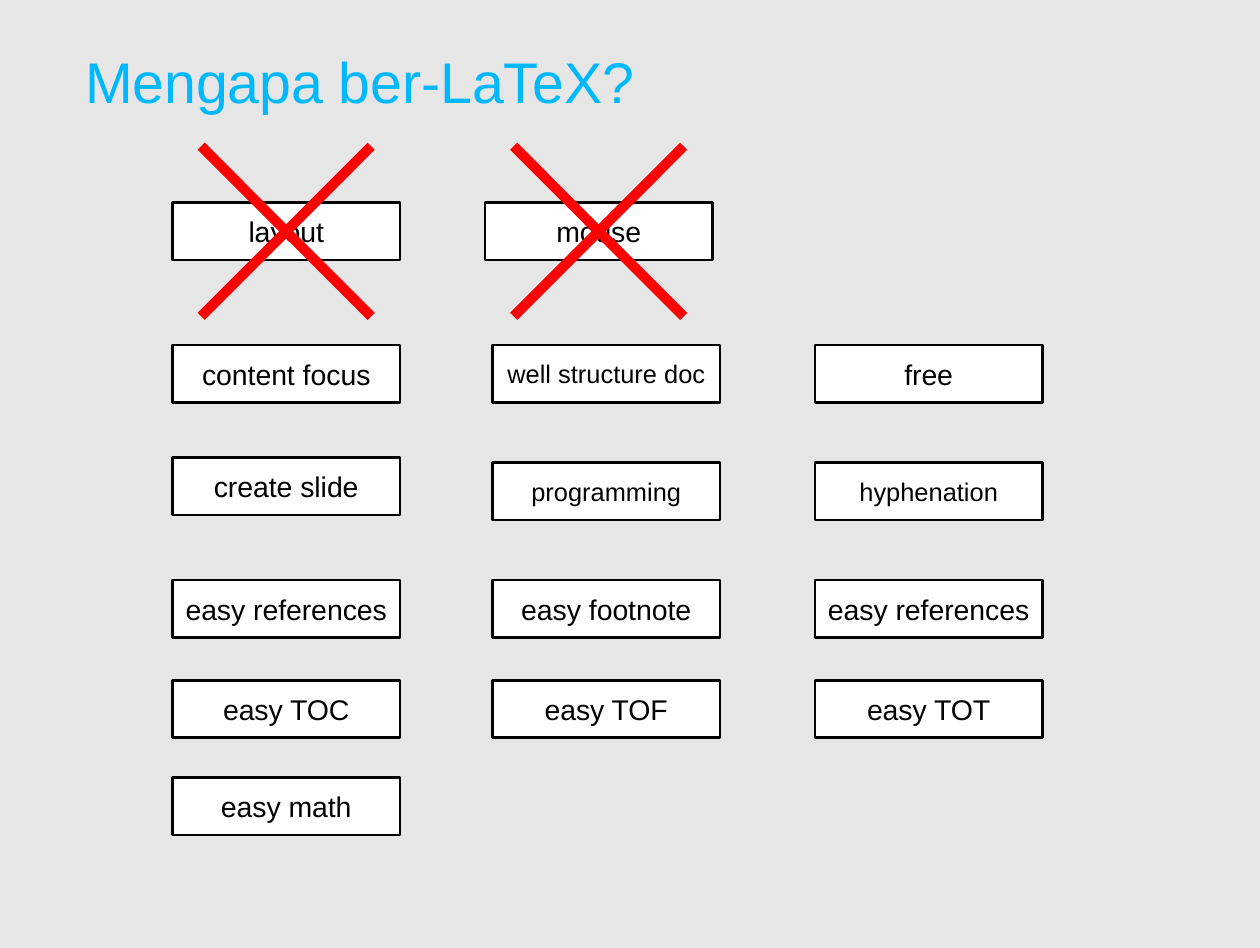
from pptx import Presentation
from pptx.dml.color import RGBColor as Color
from pptx.enum.shapes import MSO_CONNECTOR as Connector, MSO_SHAPE as Shape
from pptx.enum.text import MSO_ANCHOR as Anchor, PP_ALIGN as Align
from pptx.oxml.ns import qn
from pptx.util import Inches, Pt
from lxml.etree import SubElement

THEME = {
    "font": "Arial",
    "background": Color.from_string("E6E6E6"),
    "title": Color.from_string("00B8FF"),
    "text": Color.from_string("000000"),
    "box": Color.from_string("FFFFFF"),
    "cross": Color.from_string("FF0000"),
    "title_size": Pt(16.5),
    "label_size": Pt(8.2),
    "small_size": Pt(7.3),
    "outline": Pt(0),
    "cross_width": Pt(2.89),
}

COLUMNS = (0.69, 1.97, 3.26)
BOX_WIDTH, BOX_HEIGHT = 0.91, 0.23
CROSS_SIZE = 0.68
ROWS = (
    (0.81, ("layout", "mouse")),
    (1.38, ("content focus", "well structure doc", "free")),
    (1.85, ("create slide", "programming", "hyphenation")),
    (2.32, ("easy references", "easy footnote", "easy references")),
    (2.72, ("easy TOC", "easy TOF", "easy TOT")),
    (3.11, ("easy math",)),
)
SMALL_LABELS = {"well structure doc", "programming", "hyphenation"}
CROSSED_LABELS = {"layout", "mouse"}
NUDGES = {"mouse": (-0.03, 0), "create slide": (0, -0.02)}


def write_text(shape, text, size, color, align, margins, wrap):
    frame = shape.text_frame
    frame_format = {
        "word_wrap": wrap,
        "vertical_anchor": Anchor.MIDDLE,
        "margin_left": Inches(margins[0]),
        "margin_right": Inches(margins[0]),
        "margin_top": Inches(margins[1]),
        "margin_bottom": Inches(margins[1]),
    }
    for name, value in frame_format.items():
        setattr(frame, name, value)
    para = frame.paragraphs[0]
    para.alignment = align
    span = para.add_run()
    span.text = text
    for name, value in {"name": THEME["font"], "size": size}.items():
        setattr(span.font, name, value)
    span.font.color.rgb = color


deck = Presentation()
deck.slide_width, deck.slide_height = Inches(5.04), Inches(3.79)
page = deck.slides.add_slide(deck.slide_layouts[6])
page.background.fill.solid()
page.background.fill.fore_color.rgb = THEME["background"]

title = page.shapes.add_textbox(Inches(0.34), Inches(0.18), Inches(4.45), Inches(0.28))
write_text(title, "Mengapa ber-LaTeX?", THEME["title_size"], THEME["title"],
           Align.LEFT, (0, 0), True)

cross_centers = []
for row_top, labels in ROWS:
    for column_left, label in zip(COLUMNS, labels):
        shift_x, shift_y = NUDGES.get(label, (0, 0))
        left, top = column_left + shift_x, row_top + shift_y
        box = page.shapes.add_shape(Shape.RECTANGLE, Inches(left), Inches(top),
                                    Inches(BOX_WIDTH), Inches(BOX_HEIGHT))
        box.shadow.inherit = False
        box.fill.solid()
        box.fill.fore_color.rgb = THEME["box"]
        box.line.color.rgb = THEME["text"]
        box.line.width = THEME["outline"]
        size = THEME["small_size" if label in SMALL_LABELS else "label_size"]
        write_text(box, label, size, THEME["text"], Align.CENTER, (0.05, 0.02), False)
        if label in CROSSED_LABELS:
            cross_centers.append((left + BOX_WIDTH / 2, top + BOX_HEIGHT / 2))

half = CROSS_SIZE / 2
for center_x, center_y in cross_centers:
    for slope in (-1, 1):
        stroke = page.shapes.add_connector(
            Connector.STRAIGHT,
            Inches(center_x - half), Inches(center_y - slope * half),
            Inches(center_x + half), Inches(center_y + slope * half))
        stroke.line.color.rgb = THEME["cross"]
        stroke.line.width = THEME["cross_width"]
        SubElement(stroke.element.spPr, qn("a:effectLst"))

deck.save("out.pptx")
